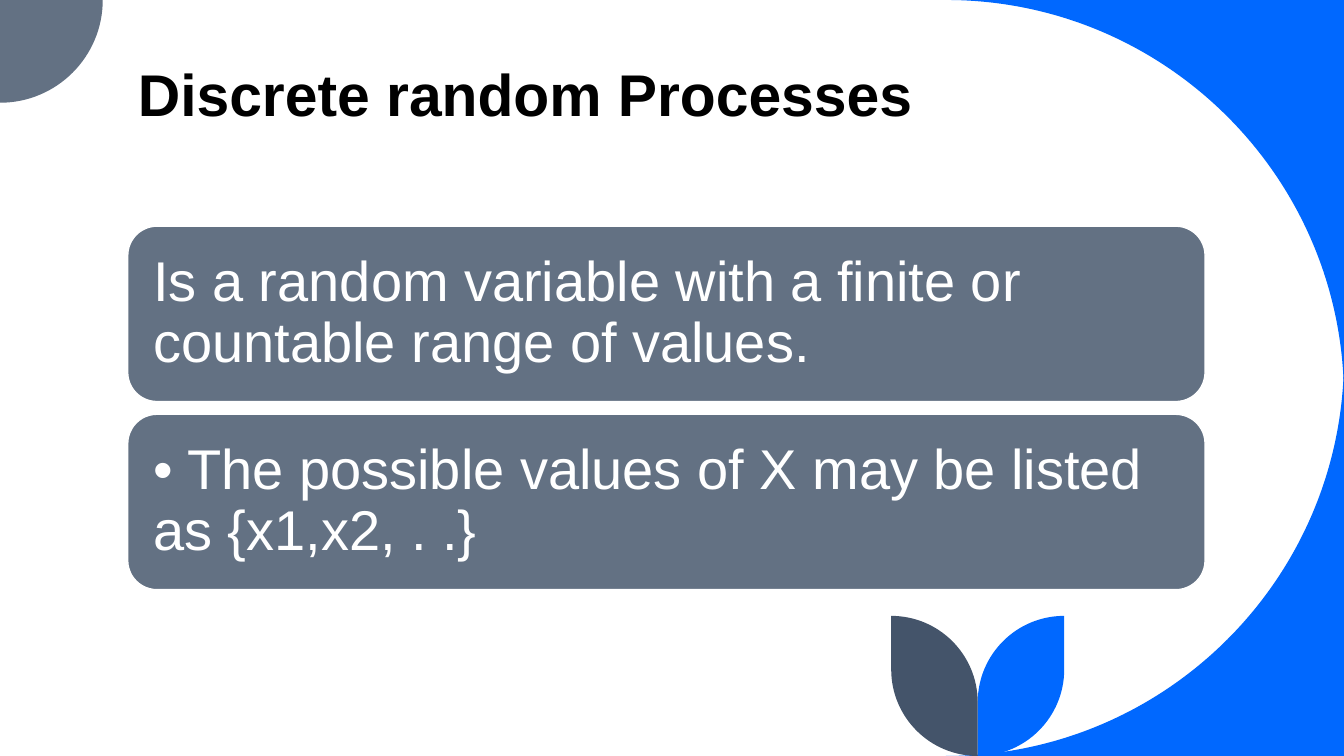
from dataclasses import dataclass
from math import cos, radians, sin, tan

from lxml.etree import SubElement
from pptx import Presentation
from pptx.dml.color import RGBColor
from pptx.enum.shapes import MSO_SHAPE
from pptx.enum.text import MSO_ANCHOR, MSO_AUTO_SIZE, PP_ALIGN
from pptx.oxml.ns import qn
from pptx.shapes.autoshape import Shape
from pptx.slide import Slide
from pptx.text.text import TextFrame
from pptx.util import Cm, Pt

Point = tuple[float, float]


@dataclass(frozen=True)
class Theme:
    font: str = "Arial"
    black: str = "000000"
    white: str = "FFFFFF"
    blue: str = "0068FF"
    slate: str = "637183"
    navy: str = "44546A"
    title_size: int = 42
    card_size: int = 40


@dataclass(frozen=True)
class Arc:
    x: float
    y: float
    radius: float
    start: int
    end: int

    def points(self) -> list[Point]:
        first, last = radians(self.start), radians(self.end)
        pull = 4 / 3 * tan((last - first) / 4)
        offsets = (
            (cos(first), sin(first)),
            (cos(first) - pull * sin(first), sin(first) + pull * cos(first)),
            (cos(last) + pull * sin(last), sin(last) - pull * cos(last)),
            (cos(last), sin(last)),
        )
        return [(self.x + self.radius * dx, self.y + self.radius * dy) for dx, dy in offsets]


@dataclass(frozen=True)
class Ornament:
    color: str
    arcs: tuple[Arc, ...]
    corner: Point | None = None


@dataclass(frozen=True)
class Card:
    text: str
    top: float


THEME = Theme()
WIDTH, HEIGHT = 33.87, 19.05
LEFT, CONTENT_WIDTH = 3.22, 27.15
CARD_TOP, CARD_HEIGHT, CARD_PITCH = 5.7, 4.42, 4.74
CARD_INSET = 0.43
SWEEP = 10.03
LEAF, STEM_X, LEAF_ARC_Y = 2.18, 24.64, 17.7

ORNAMENTS = (
    Ornament(THEME.blue, (Arc(WIDTH - SWEEP, SWEEP, SWEEP, 270, 360),), (WIDTH, 0)),
    Ornament(THEME.blue, (Arc(WIDTH - SWEEP, HEIGHT - SWEEP, SWEEP, 0, 90),), (WIDTH, HEIGHT)),
    Ornament(THEME.slate, (Arc(0, 0, 2.59, 0, 90),), (0, 0)),
    Ornament(THEME.blue, (Arc(STEM_X, HEIGHT - LEAF, LEAF, 0, 90),
                          Arc(STEM_X + LEAF, LEAF_ARC_Y, LEAF, 180, 270))),
    Ornament(THEME.navy, (Arc(STEM_X, HEIGHT - LEAF, LEAF, 180, 90),
                          Arc(STEM_X - LEAF, LEAF_ARC_Y, LEAF, 0, -90))),
)

CARD_TEXTS = (
    "Is a random variable with a finite or countable range of values.",
    "• The possible values of X may be listed as {x1,x2, . .}",
)
CARDS = [Card(text, CARD_TOP + i * CARD_PITCH) for i, text in enumerate(CARD_TEXTS)]


def write_text(tf: TextFrame, text: str, *, size: int, color: str, bold: bool = False,
               spacing: float = 1.0, anchor: MSO_ANCHOR = MSO_ANCHOR.MIDDLE) -> None:
    tf.word_wrap = True
    tf.auto_size = MSO_AUTO_SIZE.NONE
    tf.vertical_anchor = anchor
    p = tf.paragraphs[0]
    p.alignment = PP_ALIGN.LEFT
    p.line_spacing = spacing
    r = p.add_run()
    r.text = text
    r.font.name = THEME.font
    r.font.size = Pt(size)
    r.font.bold = bold
    r.font.color.rgb = RGBColor.from_string(color)


def fill_shape(sp: Shape, color: str) -> None:
    sp.shadow.inherit = False
    sp.fill.solid()
    sp.fill.fore_color.rgb = RGBColor.from_string(color)


def bend_segments(sp: Shape, starts: list[int]) -> None:
    outline = next(sp.element.iter(qn("a:path")))
    lines = outline.findall(qn("a:lnTo"))
    for start in starts:
        segment = lines[start:start + 3]
        curve = SubElement(outline, qn("a:cubicBezTo"))
        segment[0].addprevious(curve)
        for line in segment:
            curve.append(line[0])
            outline.remove(line)


def draw_ornament(s: Slide, ornament: Ornament) -> None:
    points = [point for arc in ornament.arcs for point in arc.points()]
    if ornament.corner:
        points.append(ornament.corner)
    vertices = [(Cm(x), Cm(y)) for x, y in points]
    builder = s.shapes.build_freeform(*vertices[0])
    builder.add_line_segments(vertices[1:], close=True)
    sp = builder.convert_to_shape()
    bend_segments(sp, [4 * i for i in range(len(ornament.arcs))])
    fill_shape(sp, ornament.color)
    sp.line.fill.background()


def draw_title(s: Slide, text: str) -> None:
    sp = s.shapes.title
    sp.left, sp.top, sp.width, sp.height = Cm(LEFT), Cm(0.28), Cm(CONTENT_WIDTH), Cm(4.85)
    tf = sp.text_frame
    tf.margin_bottom = Cm(1.91)
    write_text(tf, text, size=THEME.title_size, color=THEME.black, bold=True,
               spacing=0.8, anchor=MSO_ANCHOR.BOTTOM)


def draw_card(s: Slide, card: Card) -> None:
    sp = s.shapes.add_shape(MSO_SHAPE.ROUNDED_RECTANGLE, Cm(LEFT), Cm(card.top),
                            Cm(CONTENT_WIDTH), Cm(CARD_HEIGHT))
    fill_shape(sp, THEME.slate)
    sp.line.color.rgb = RGBColor.from_string(THEME.white)
    sp.line.width = Pt(1)
    tf = sp.text_frame
    tf.margin_left = tf.margin_right = tf.margin_top = tf.margin_bottom = Cm(CARD_INSET)
    write_text(tf, card.text, size=THEME.card_size, color=THEME.white, spacing=0.9)


def main() -> None:
    prs = Presentation()
    prs.slide_width, prs.slide_height = Cm(WIDTH), Cm(HEIGHT)
    s = prs.slides.add_slide(prs.slide_layouts.get_by_name("Title Only"))
    for ornament in ORNAMENTS:
        draw_ornament(s, ornament)
    draw_title(s, "Discrete random Processes")
    for card in CARDS:
        draw_card(s, card)
    prs.save("out.pptx")


if __name__ == "__main__":
    main()
